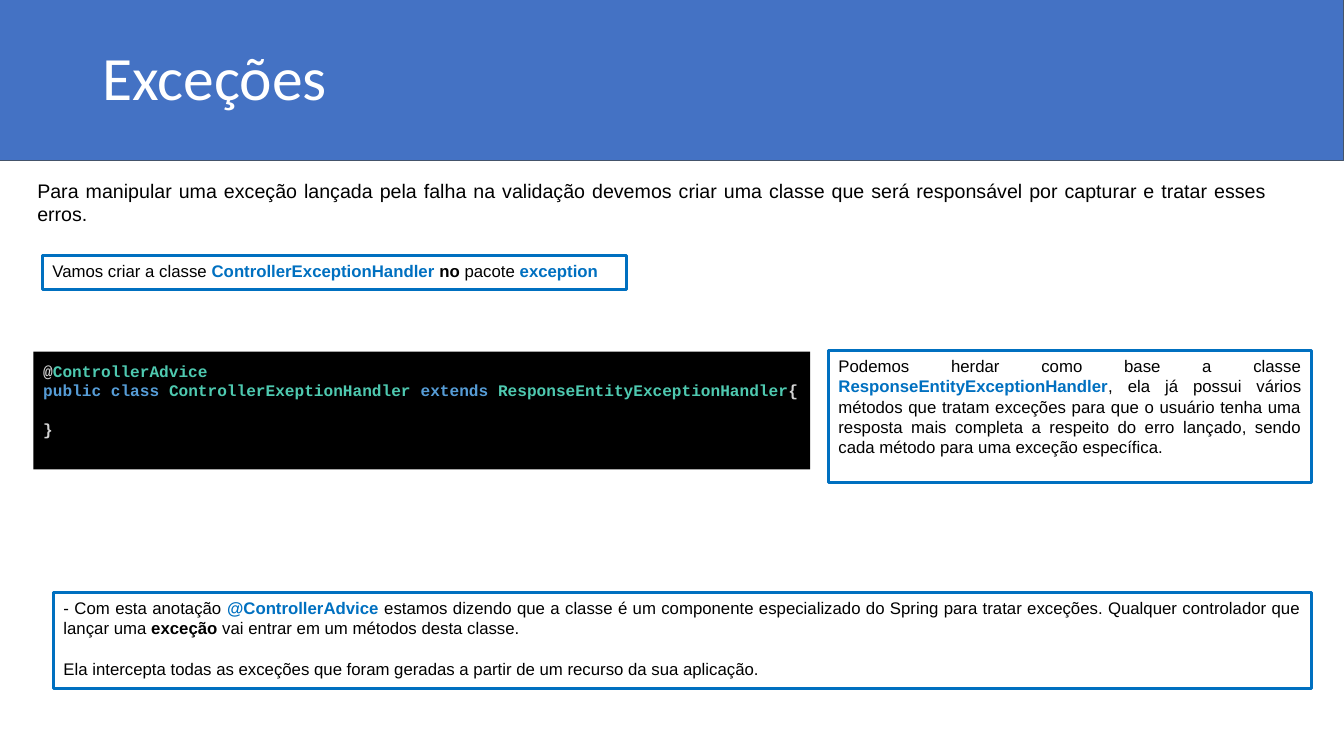
"""Build the slide on handling validation exceptions with a controller advice."""
from dataclasses import dataclass
from typing import Any, Optional

import pptx
import pptx.dml.color
import pptx.enum.shapes
import pptx.enum.text
import pptx.util

Cm = pptx.util.Cm
Pt = pptx.util.Pt
RGBColor = pptx.dml.color.RGBColor
Align = pptx.enum.text.PP_ALIGN
Anchor = pptx.enum.text.MSO_ANCHOR

WHITE = RGBColor(0xFF, 0xFF, 0xFF)
BLACK = RGBColor(0x00, 0x00, 0x00)
BAND_BLUE = RGBColor(0x44, 0x72, 0xC4)
BAND_EDGE = RGBColor(0x44, 0x54, 0x6A)
ACCENT = RGBColor(0x00, 0x70, 0xC0)
CODE_PLAIN = RGBColor(0xD4, 0xD4, 0xD4)
CODE_TYPE = RGBColor(0x4E, 0xC9, 0xB0)
CODE_KEYWORD = RGBColor(0x56, 0x9C, 0xD6)


@dataclass(frozen=True)
class Span:
    """A stretch of text in one colour and weight."""

    text: str
    color: RGBColor = BLACK
    bold: bool = False


@dataclass(frozen=True)
class Paragraph:
    """Spans that share one alignment and spacing."""

    spans: tuple[Span, ...]
    alignment: Align = Align.JUSTIFY
    space_before: float = 0
    line_spacing: float = 1.0


@dataclass(frozen=True)
class Panel:
    """A block of text, placed in centimetres, with optional fill and edge."""

    left: float
    top: float
    width: float
    height: float
    paragraphs: tuple[Paragraph, ...] = ()
    size: float = 12
    font: str = "Arial"
    fill: Optional[RGBColor] = None
    edge: Optional[RGBColor] = None
    edge_width: float = 2.25
    anchor: Anchor = Anchor.TOP
    margin_y: float = 0.13


def key(text: str) -> Span:
    """Return a highlighted term."""
    return Span(text, ACCENT, True)


def code(text: str, color: RGBColor = CODE_PLAIN) -> Span:
    """Return a stretch of source code."""
    return Span(text, color, True)


def code_line(*spans: Span, space_before: float = 0) -> Paragraph:
    """Return one left-aligned line of source code."""
    return Paragraph(spans, Align.LEFT, space_before)


PANELS = (
    Panel(0, 0, 33.87, 4.05, fill=BAND_BLUE, edge=BAND_EDGE, edge_width=0.75),
    Panel(2.33, 0.18, 29.21, 3.68,
          (Paragraph((Span("Exceções", WHITE),), Align.LEFT, line_spacing=0.9),),
          size=44, font="Calibri", anchor=Anchor.MIDDLE),
    Panel(0.69, 4.37, 31.5, 1.73, (Paragraph((Span(
        "Para manipular uma exceção lançada pela falha na validação devemos criar uma "
        "classe que será responsável por capturar e tratar esses erros."),)),), size=14),
    Panel(1.07, 6.43, 14.73, 0.86, (Paragraph((
        Span("Vamos criar a classe "), key("ControllerExceptionHandler"),
        Span(" no ", bold=True), Span("pacote "), key("exception")), Align.LEFT),),
        edge=ACCENT),
    Panel(1.35, 14.94, 31.7, 2.41, (
        Paragraph((
            Span("- Com esta anotação "), key("@ControllerAdvice"),
            Span(" estamos dizendo que a classe é um componente especializado do Spring "
                 "para tratar exceções. Qualquer controlador que lançar uma "),
            Span("exceção", bold=True),
            Span(" vai entrar em um métodos desta classe."))),
        Paragraph((Span("Ela intercepta todas as exceções que foram geradas a partir de "
                        "um recurso da sua aplicação."),), space_before=14.5)),
        edge=ACCENT),
    Panel(20.88, 8.84, 12.17, 3.33, (Paragraph((
        Span("Podemos herdar como base a classe "), key("ResponseEntityExceptionHandler"),
        Span(", ela já possui vários métodos que tratam exceções para que o usuário tenha "
             "uma resposta mais completa a respeito do erro lançado, sendo cada método "
             "para uma exceção específica."))),), edge=ACCENT),
    Panel(0.84, 8.86, 19.58, 2.97, (
        code_line(code("@"), code("ControllerAdvice", CODE_TYPE)),
        code_line(code("public class ", CODE_KEYWORD),
                  code("ControllerExeptionHandler ", CODE_TYPE),
                  code("extends ", CODE_KEYWORD),
                  code("ResponseEntityExceptionHandler", CODE_TYPE), code("{")),
        code_line(code("}"), space_before=14)),
        size=11.5, font="Courier New", fill=BLACK, margin_y=0.25),
)


def apply(target: Any, values: dict[str, Any]) -> None:
    """Set each named attribute on the target."""
    for name, value in values.items():
        setattr(target, name, value)


def paint(box: Any, panel: Panel) -> None:
    """Give a rectangle its fill and edge."""
    box.shadow.inherit = False
    if panel.fill is None:
        box.fill.background()
    else:
        box.fill.solid()
        box.fill.fore_color.rgb = panel.fill
    if panel.edge is None:
        box.line.fill.background()
    else:
        box.line.color.rgb = panel.edge
        box.line.width = Pt(panel.edge_width)


def write(frame: Any, panel: Panel) -> None:
    """Write the panel's paragraphs into its text frame."""
    apply(frame, {
        "word_wrap": True, "vertical_anchor": panel.anchor,
        "margin_left": Cm(0.25), "margin_right": Cm(0.25),
        "margin_top": Cm(panel.margin_y), "margin_bottom": Cm(panel.margin_y),
    })
    for index, content in enumerate(panel.paragraphs):
        paragraph = frame.add_paragraph() if index else frame.paragraphs[0]
        apply(paragraph, {
            "alignment": content.alignment, "line_spacing": content.line_spacing,
            "space_before": Pt(content.space_before),
        })
        for span in content.spans:
            run = paragraph.add_run()
            run.text = span.text
            apply(run.font, {"name": panel.font, "size": Pt(panel.size), "bold": span.bold})
            run.font.color.rgb = span.color


def draw(slide: Any, panel: Panel) -> None:
    """Place one panel on the slide."""
    place = [Cm(n) for n in (panel.left, panel.top, panel.width, panel.height)]
    if panel.fill is None and panel.edge is None:
        box = slide.shapes.add_textbox(*place)
    else:
        box = slide.shapes.add_shape(pptx.enum.shapes.MSO_SHAPE.RECTANGLE, *place)
        paint(box, panel)
    write(box.text_frame, panel)


def main() -> None:
    """Build and save the presentation."""
    deck = pptx.Presentation()
    apply(deck, {"slide_width": Cm(33.87), "slide_height": Cm(19.05)})
    slide = deck.slides.add_slide(deck.slide_layouts[6])
    for panel in PANELS:
        draw(slide, panel)
    deck.save("out.pptx")


if __name__ == "__main__":
    main()
